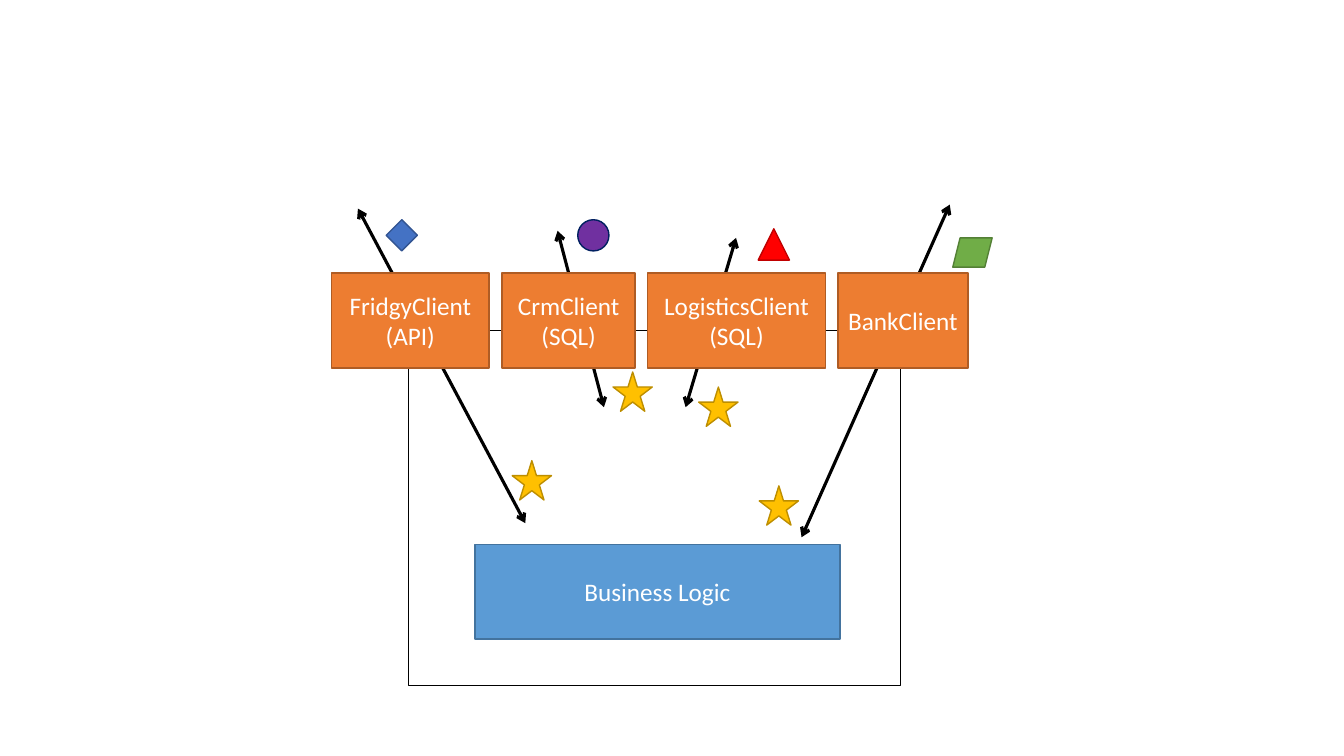
from lxml.etree import SubElement
from pptx import Presentation
from pptx.dml.color import RGBColor
from pptx.enum.shapes import MSO_CONNECTOR, MSO_SHAPE
from pptx.enum.text import MSO_ANCHOR, PP_ALIGN
from pptx.oxml.ns import qn
from pptx.util import Inches, Pt

COLORS = {
    "black": "000000", "white": "FFFFFF",
    "orange": "ED7D31", "orange_edge": "AF5C24",
    "sky": "5B9BD5", "sky_edge": "43739E",
    "blue": "4472C4", "blue_edge": "325491",
    "purple": "7030A0", "navy": "002060",
    "red": "FF0000", "red_edge": "C00000",
    "green": "70AD47", "green_edge": "538035",
    "gold": "FFC000", "gold_edge": "BD8E00",
}


class Diagram:
    """Draws styled diagram elements on one slide."""

    font = "Calibri"
    size = Pt(18)

    def __init__(self, slide):
        self.slide = slide

    def color(self, name):
        return RGBColor.from_string(COLORS[name])

    def shape(self, kind, box, fill, edge):
        sp = self.slide.shapes.add_shape(kind, *map(Inches, box))
        sp.shadow.inherit = False
        if fill:
            sp.fill.solid()
            sp.fill.fore_color.rgb = self.color(fill)
        else:
            sp.fill.background()
        sp.line.color.rgb = self.color(edge)
        sp.line.width = Pt(1)
        return sp

    def block(self, lines, box, fill, edge):
        tf = self.shape(MSO_SHAPE.RECTANGLE, box, fill, edge).text_frame
        tf.word_wrap = True
        tf.margin_left = tf.margin_right = Inches(0.05)
        tf.vertical_anchor = MSO_ANCHOR.MIDDLE
        tf.text = "\n".join(lines)
        for p in tf.paragraphs:
            p.alignment = PP_ALIGN.CENTER
            p.font.name = self.font
            p.font.size = self.size
            p.font.color.rgb = self.color("white")

    def double_arrow(self, start, end):
        cxn = self.slide.shapes.add_connector(
            MSO_CONNECTOR.STRAIGHT, *map(Inches, start + end))
        cxn.line.color.rgb = self.color("black")
        cxn.line.width = Pt(2.25)
        ln = cxn.line._get_or_add_ln()
        for tag in ("a:headEnd", "a:tailEnd"):
            SubElement(ln, qn(tag), type="arrow")
        SubElement(cxn._element.spPr, qn("a:effectLst"))


def main():
    prs = Presentation()
    prs.slide_width, prs.slide_height = Inches(13.33), Inches(7.5)
    d = Diagram(prs.slides.add_slide(prs.slide_layouts[6]))

    for start, end in (
        ((7.95, 5.33), (9.42, 2.03)),
        ((7.3, 2.36), (6.8, 4.04)),
        ((3.55, 2.07), (5.21, 5.19)),
        ((5.53, 2.29), (5.99, 4.04)),
    ):
        d.double_arrow(start, end)

    d.shape(MSO_SHAPE.RECTANGLE, (4.05, 3.28, 4.88, 3.52), None, "black")

    height = 0.94
    for lines, x, width in (
        (("FridgyClient", "(API)"), 3.29, 1.56),
        (("CrmClient", "(SQL)"), 4.98, 1.32),
        (("LogisticsClient", "(SQL)"), 6.42, 1.77),
        (("BankClient",), 8.31, 1.29),
    ):
        d.block(lines, (x, 2.71, width, height), "orange", "orange_edge")
    d.block(("Business Logic",), (4.71, 5.4, 3.62, height), "sky", "sky_edge")

    for kind, box, fill, edge in (
        (MSO_SHAPE.DIAMOND, (3.83, 2.18, 0.31, 0.31), "blue", "blue_edge"),
        (MSO_SHAPE.FLOWCHART_CONNECTOR, (5.73, 2.18, 0.31, 0.31), "purple", "navy"),
        (MSO_SHAPE.ISOSCELES_TRIANGLE, (7.52, 2.27, 0.31, 0.31), "red", "red_edge"),
        (MSO_SHAPE.PARALLELOGRAM, (9.45, 2.36, 0.39, 0.29), "green", "green_edge"),
    ):
        d.shape(kind, box, fill, edge)

    for x, y in ((5.08, 4.57), (6.08, 3.69), (6.93, 3.84), (7.53, 4.82)):
        d.shape(MSO_SHAPE.STAR_5_POINT, (x, y, 0.39, 0.39), "gold", "gold_edge")

    prs.save("out.pptx")


if __name__ == "__main__":
    main()
